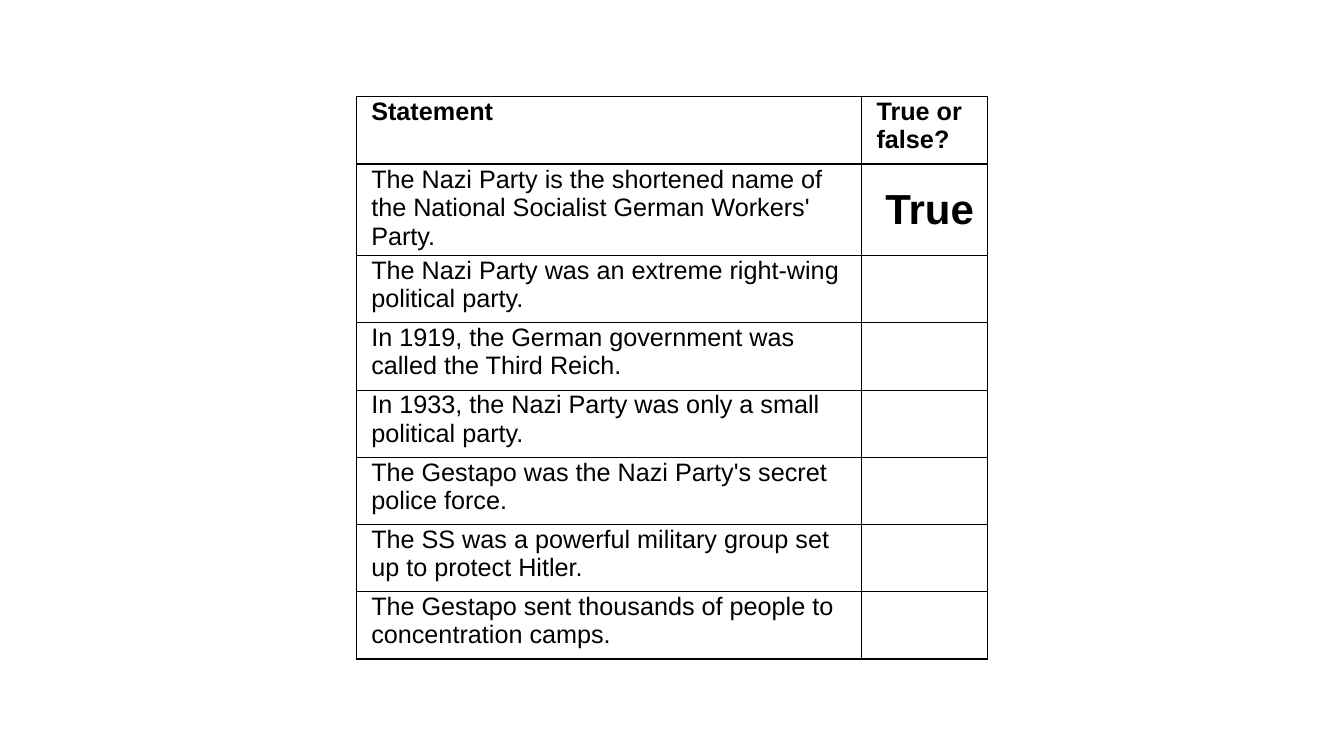
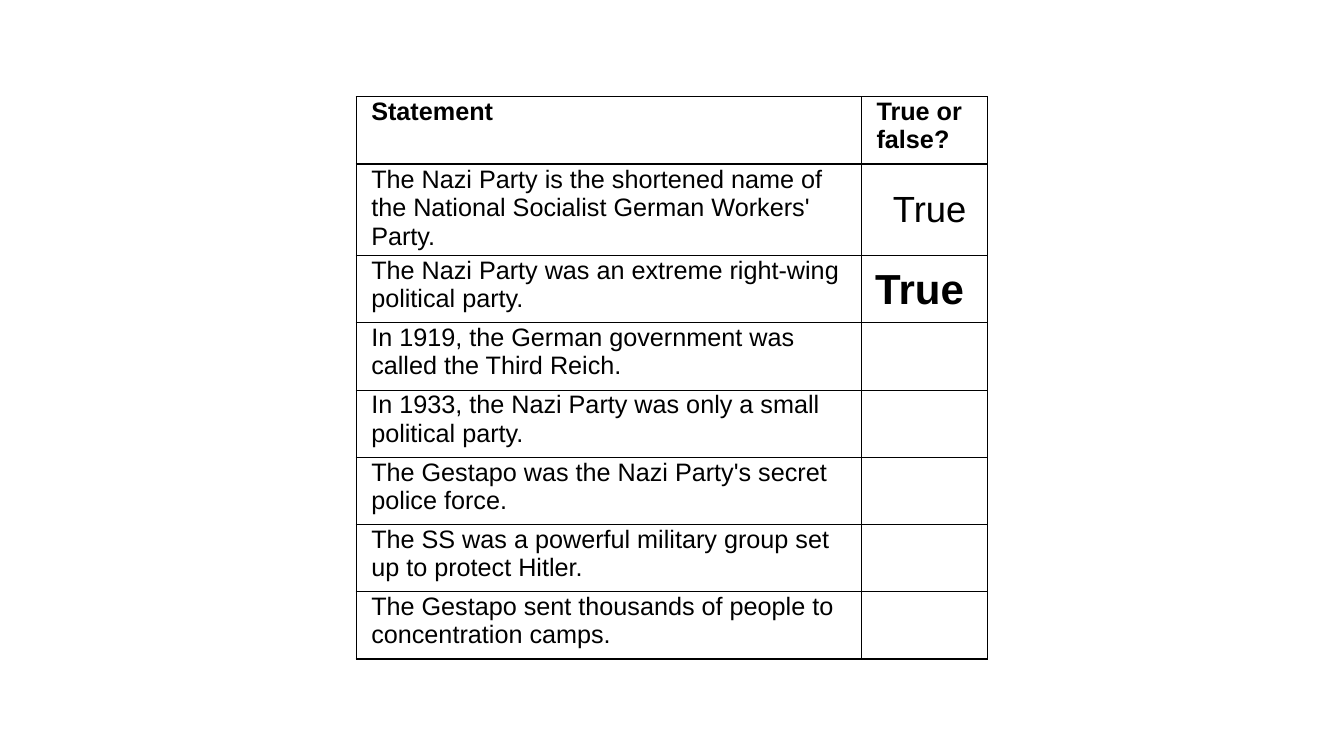
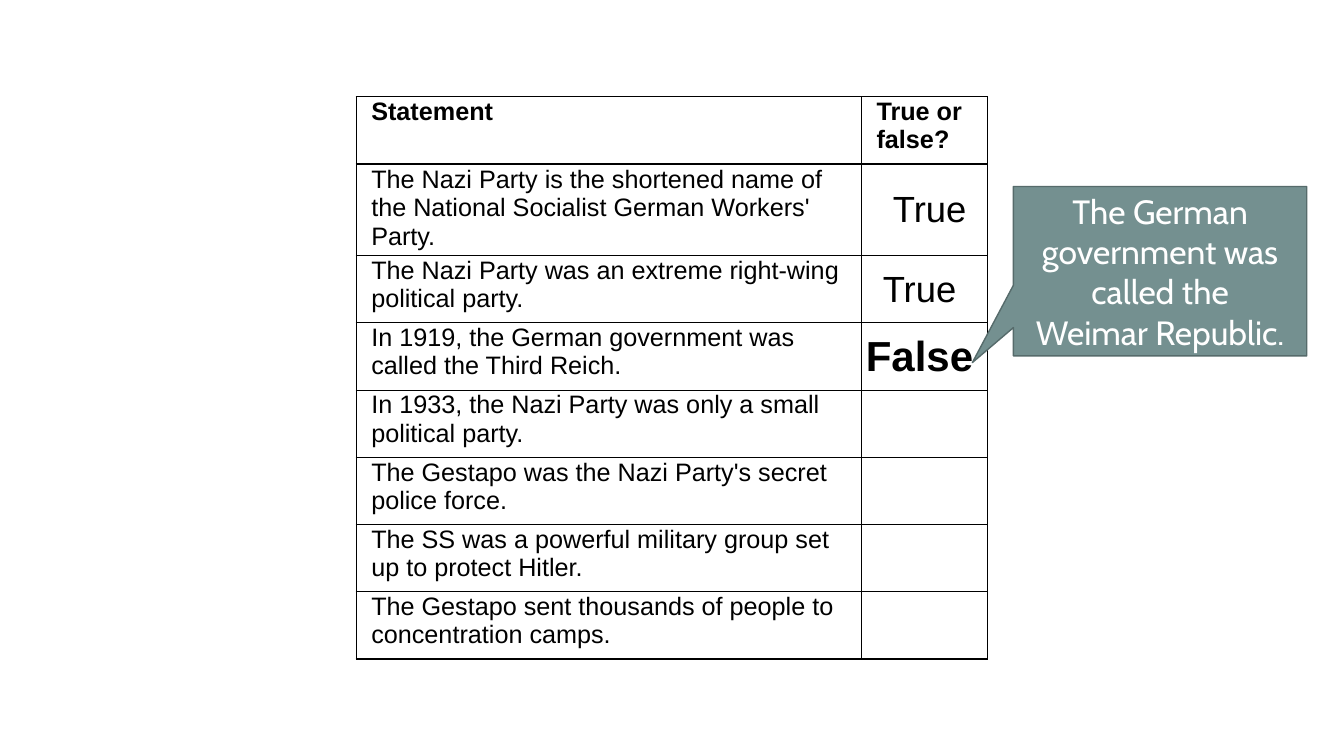
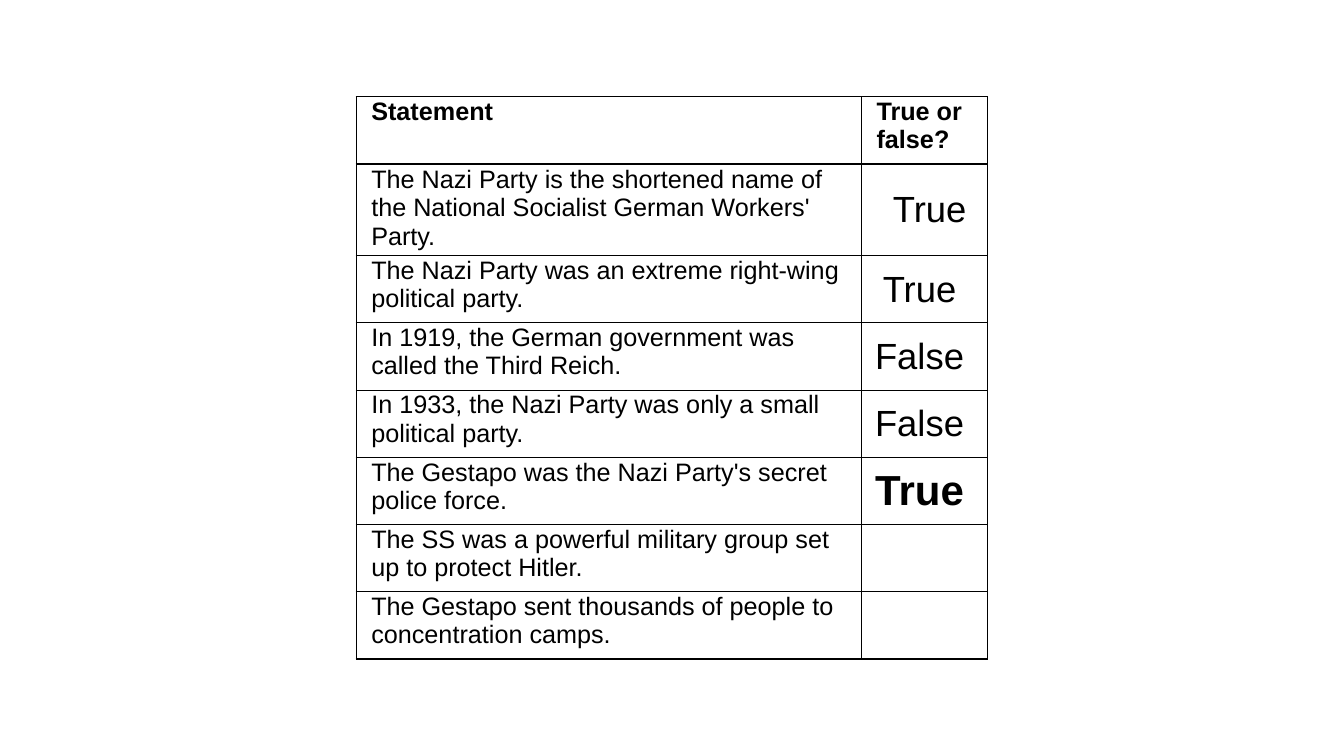
import pptx
import pptx.util
import pptx.dml.color
import pptx.enum.shapes
import pptx.enum.text
import lxml.etree
import pptx.oxml.ns

FACTS = [
    ("The Nazi Party is the shortened name of the National Socialist German Workers' Party.", "True"),
    ("The Nazi Party was an extreme right-wing political party.", "True"),
    ("In 1919, the German government was called the Third Reich.", "False"),
    ("In 1933, the Nazi Party was only a small political party.", "False"),
    ("The Gestapo was the Nazi Party's secret police force.", "True"),
    ("The SS was a powerful military group set up to protect Hitler.", None),
    ("The Gestapo sent thousands of people to concentration camps.", None),
]
HEADS = ("Statement", "True or false?")
NOTE = ("The German government was called the", "Weimar Republic.")


def paint(code):
    return pptx.dml.color.RGBColor.from_string(code)


class Deck:
    ink, white, fill, edge = "000000", "FFFFFF", "749090", "566B6B"
    face, soft = "Arial", "Cabin"
    grid = 100

    def __init__(self):
        self.file = pptx.Presentation()
        self.file.slide_width = pptx.util.Inches(13.33)
        self.file.slide_height = pptx.util.Inches(7.5)
        self.slide = None

    def page(self):
        self.slide = self.file.slides.add_slide(self.file.slide_layouts[6])

    def col(self, n):
        return round(self.file.slide_width * n / self.grid)

    def row(self, n):
        return round(self.file.slide_height * n / self.grid)

    def box(self, x, y, w, h):
        return self.col(x), self.row(y), self.col(w), self.row(h)

    def style(self, para, size, bold=False, face=face, ink=ink):
        font = para.font
        font.size, font.bold, font.name = pptx.util.Pt(size), bold, face
        font.color.rgb = paint(ink)

    def rule(self, cell):
        props = cell._tc.get_or_add_tcPr()
        name = pptx.oxml.ns.qn
        for place, side in enumerate("LRTB"):
            line = lxml.etree.Element(name("a:ln" + side), w=str(pptx.util.Pt(1)))
            solid = lxml.etree.SubElement(line, name("a:solidFill"))
            lxml.etree.SubElement(solid, name("a:srgbClr"), val=self.ink)
            props.insert(place, line)

    def cell(self, cell, text, size=18, bold=False, left=0.15, right=0.01):
        cell.fill.background()
        self.rule(cell)
        cell.margin_left = pptx.util.Inches(left)
        cell.margin_right = pptx.util.Inches(right)
        cell.margin_top = pptx.util.Inches(0.01)
        cell.margin_bottom = 0
        cell.text = text
        self.style(cell.text_frame.paragraphs[0], size, bold)

    def mark(self, cell, text, last, first):
        left, right = (0.11, 0.01) if first else (0.01, 0.11)
        self.cell(cell, text, 30 if last else 26, last, left, right)
        cell.vertical_anchor = pptx.enum.text.MSO_ANCHOR.MIDDLE
        cell.text_frame.paragraphs[0].alignment = pptx.enum.text.PP_ALIGN.CENTER

    def quiz(self, shown):
        wide, high, tall = 47, 74.4, 12.13
        count = len(FACTS)
        frame = self.slide.shapes.add_table(
            count + 1, 2, *self.box(26.5, 12.8, wide, high))
        table = frame.table
        table.first_row = table.horz_banding = False
        for column, part in zip(table.columns, (0.8, 0.2)):
            column.width = self.col(wide * part)
        for line in table.rows:
            line.height = self.row((high - tall) / count)
        table.rows[1].height = self.row(tall)
        for n, head in enumerate(HEADS):
            self.cell(table.cell(0, n), head, bold=True)
        for n, (fact, answer) in enumerate(FACTS, 1):
            self.cell(table.cell(n, 0), fact)
            if n <= shown:
                self.mark(table.cell(n, 1), answer, n == shown, n == 1)
            else:
                self.cell(table.cell(n, 1), "")
        table.cell(1, 0).text_frame.paragraphs[0].line_spacing = pptx.util.Pt(20.5)

    def bubble(self, lines):
        kind = pptx.enum.shapes.MSO_SHAPE.RECTANGULAR_CALLOUT
        shape = self.slide.shapes.add_shape(kind, *self.box(75.4, 24.67, 21.83, 22.4))
        shape.adjustments[0], shape.adjustments[1] = -0.64, 0.54
        shape.shadow.inherit = False
        shape.fill.solid()
        shape.fill.fore_color.rgb = paint(self.fill)
        shape.line.color.rgb = paint(self.edge)
        shape.line.width = pptx.util.Pt(1)
        frame = shape.text_frame
        frame.word_wrap = True
        frame.vertical_anchor = pptx.enum.text.MSO_ANCHOR.MIDDLE
        frame.text = "\n".join(lines)
        for para in frame.paragraphs:
            para.alignment = pptx.enum.text.PP_ALIGN.CENTER
            self.style(para, 24, face=self.soft, ink=self.white)


def main():
    deck = Deck()
    for shown in (1, 2, 3, 5):
        deck.page()
        deck.quiz(shown)
        if shown == 3:
            deck.bubble(NOTE)
    deck.file.save("out.pptx")


if __name__ == "__main__":
    main()
